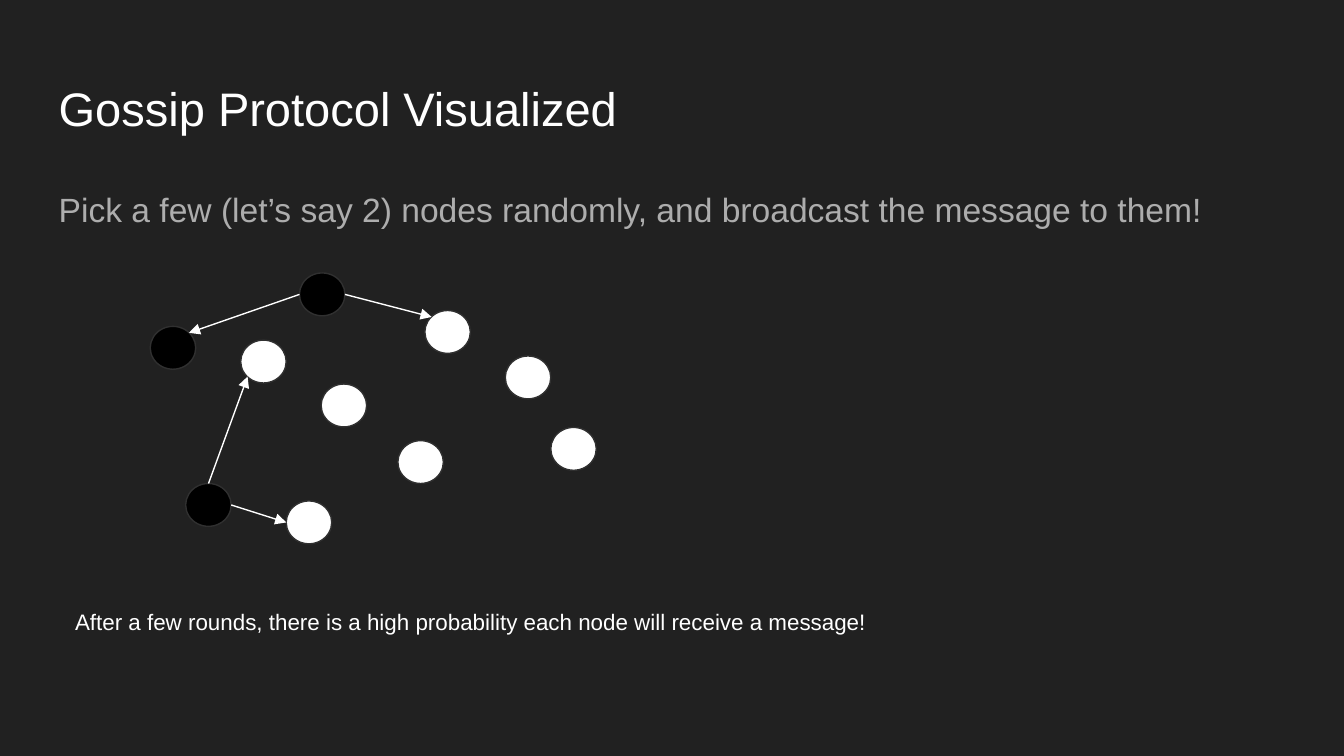
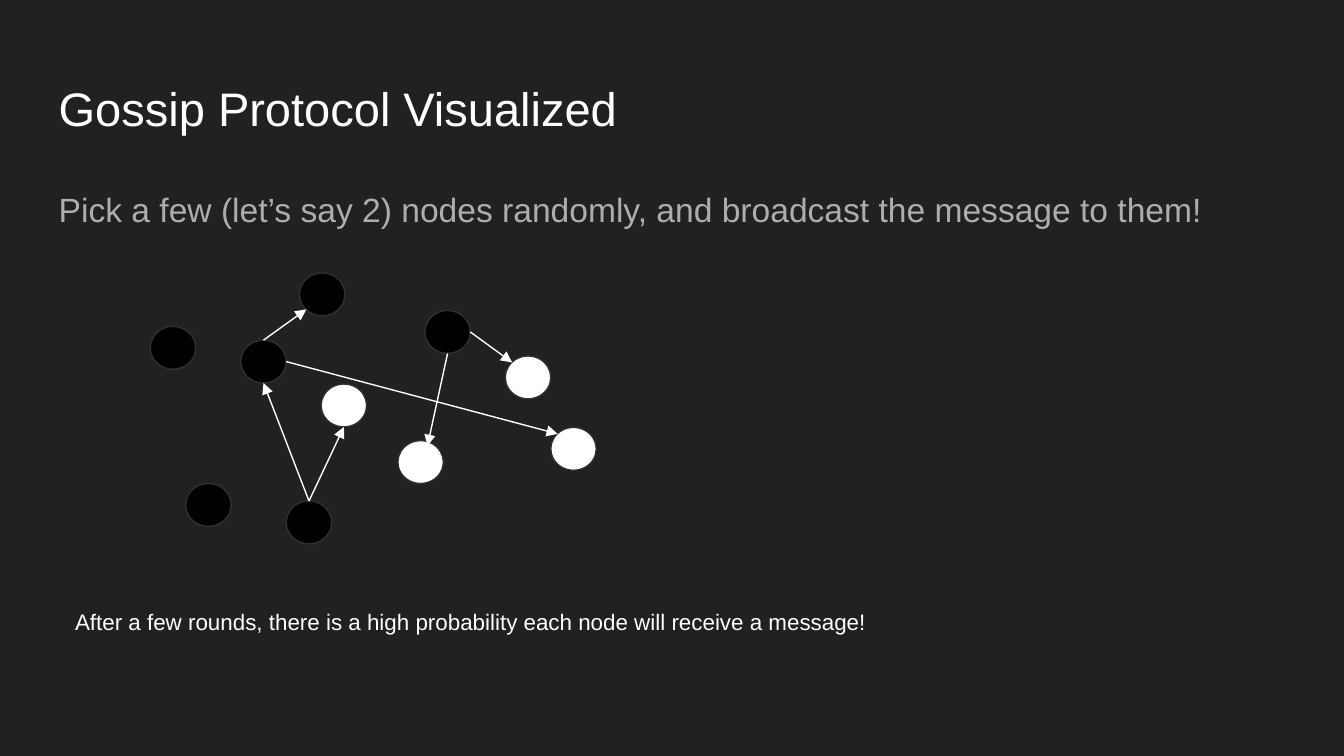
from lxml.etree import SubElement
from pptx import Presentation
from pptx.dml.color import RGBColor
from pptx.enum.shapes import MSO_CONNECTOR, MSO_SHAPE
from pptx.enum.text import MSO_ANCHOR, MSO_AUTO_SIZE
from pptx.oxml.ns import qn
from pptx.util import Cm, Pt

# Shared style
COLORS = {"bg": "212121", "white": "FFFFFF", "black": "000000",
          "grey": "ADADAD", "outline": "303030"}
FONT = "Arial"
INSET = 0.25
LINE_WIDTH = 0.75

TITLE = "Gossip Protocol Visualized"
BODY = "Pick a few (let’s say 2) nodes randomly, and broadcast the message to them!"
NOTE = "After a few rounds, there is a high probability each node will receive a message!"

# Network nodes: left and top in cm, all of one size
NODE_W, NODE_H = 0.86, 0.81
NODES = {"A": (2.84, 6.17), "B": (5.66, 5.16), "C": (4.55, 6.43),
         "D": (3.51, 9.14), "E": (6.07, 7.26), "F": (7.52, 8.33),
         "G": (9.55, 6.73), "H": (8.03, 5.87), "I": (10.41, 8.08),
         "J": (5.41, 9.47)}

# Points on a node's edge, as fractions of its width and height
SITES = {"top": (0.5, 0), "bottom": (0.5, 1), "left": (0, 0.5),
         "right": (1, 0.5), "top left": (0.15, 0.15),
         "top right": (0.85, 0.15), "bottom left": (0.15, 0.85),
         "upper right": (0.65, 0.12)}

# Each round: nodes that have the message, and the messages sent
ROUNDS = [
    ("ABD", [("D", "right", "J", "left"),
             ("D", "top", "C", "bottom left"),
             ("B", "right", "H", "top left"),
             ("B", "left", "A", "top right")]),
    ("ABCDHJ", [("H", "bottom", "F", "upper right"),
                ("H", "right", "G", "top left"),
                ("J", "top", "E", "bottom"),
                ("J", "top", "C", "bottom"),
                ("C", "right", "I", "top left"),
                ("C", "top", "B", "bottom left")]),
]


def rgb(name):
    return RGBColor.from_string(COLORS[name])


def site_point(node, site):
    (x, y), (fx, fy) = NODES[node], SITES[site]
    return Cm(x + fx * NODE_W), Cm(y + fy * NODE_H)


class Deck:
    def __init__(self):
        self.prs = Presentation()
        self.prs.slide_width, self.prs.slide_height = Cm(25.4), Cm(14.29)
        self.slide = None

    def add_slide(self):
        self.slide = self.prs.slides.add_slide(self.prs.slide_layouts[6])
        fill = self.slide.background.fill
        fill.solid()
        fill.fore_color.rgb = rgb("bg")

    def text(self, text, box, size, color, frame=None, para=None):
        sp = self.slide.shapes.add_textbox(*map(Cm, box))
        tf = sp.text_frame
        p = tf.paragraphs[0]
        r = p.add_run()
        r.text = text
        sides = ("left", "top", "right", "bottom")
        margins = {f"margin_{side}": Cm(INSET) for side in sides}
        formats = [(tf, {"word_wrap": True, **margins, **(frame or {})}),
                   (p, para or {}),
                   (r.font, {"name": FONT, "size": Pt(size)})]
        for target, values in formats:
            for name, value in values.items():
                setattr(target, name, value)
        r.font.color.rgb = rgb(color)

    def node(self, name, color):
        x, y = NODES[name]
        sp = self.slide.shapes.add_shape(
            MSO_SHAPE.OVAL, Cm(x), Cm(y), Cm(NODE_W), Cm(NODE_H))
        sp.shadow.inherit = False
        sp.fill.solid()
        sp.fill.fore_color.rgb = rgb(color)
        sp.line.color.rgb = rgb("outline")
        sp.line.width = Pt(LINE_WIDTH)

    def arrow(self, source, source_site, target, target_site):
        cxn = self.slide.shapes.add_connector(
            MSO_CONNECTOR.STRAIGHT, *site_point(source, source_site),
            *site_point(target, target_site))
        cxn.line.color.rgb = rgb("white")
        cxn.line.width = Pt(LINE_WIDTH)
        SubElement(cxn.line._get_or_add_ln(), qn("a:tailEnd"), type="triangle")
        SubElement(cxn._element.spPr, qn("a:effectLst"))


deck = Deck()
for informed, messages in ROUNDS:
    deck.add_slide()

    # Title and explanation
    deck.text(TITLE, (0.86, 1.24, 23.67, 1.6), 25.2, "white",
              frame={"vertical_anchor": MSO_ANCHOR.MIDDLE})
    deck.text(BODY, (0.86, 3.2, 23.67, 9.5), 18, "grey",
              para={"line_spacing": 1.15, "space_after": Pt(12)})

    # Nodes: black ones have the message
    for name in NODES:
        deck.node(name, "black" if name in informed else "white")

    # Closing remark
    deck.text(NOTE, (1.17, 11.25, 18.72, 1.02), 12, "white",
              frame={"auto_size": MSO_AUTO_SIZE.SHAPE_TO_FIT_TEXT})

    # Messages sent in this round
    for message in messages:
        deck.arrow(*message)

deck.prs.save("out.pptx")
